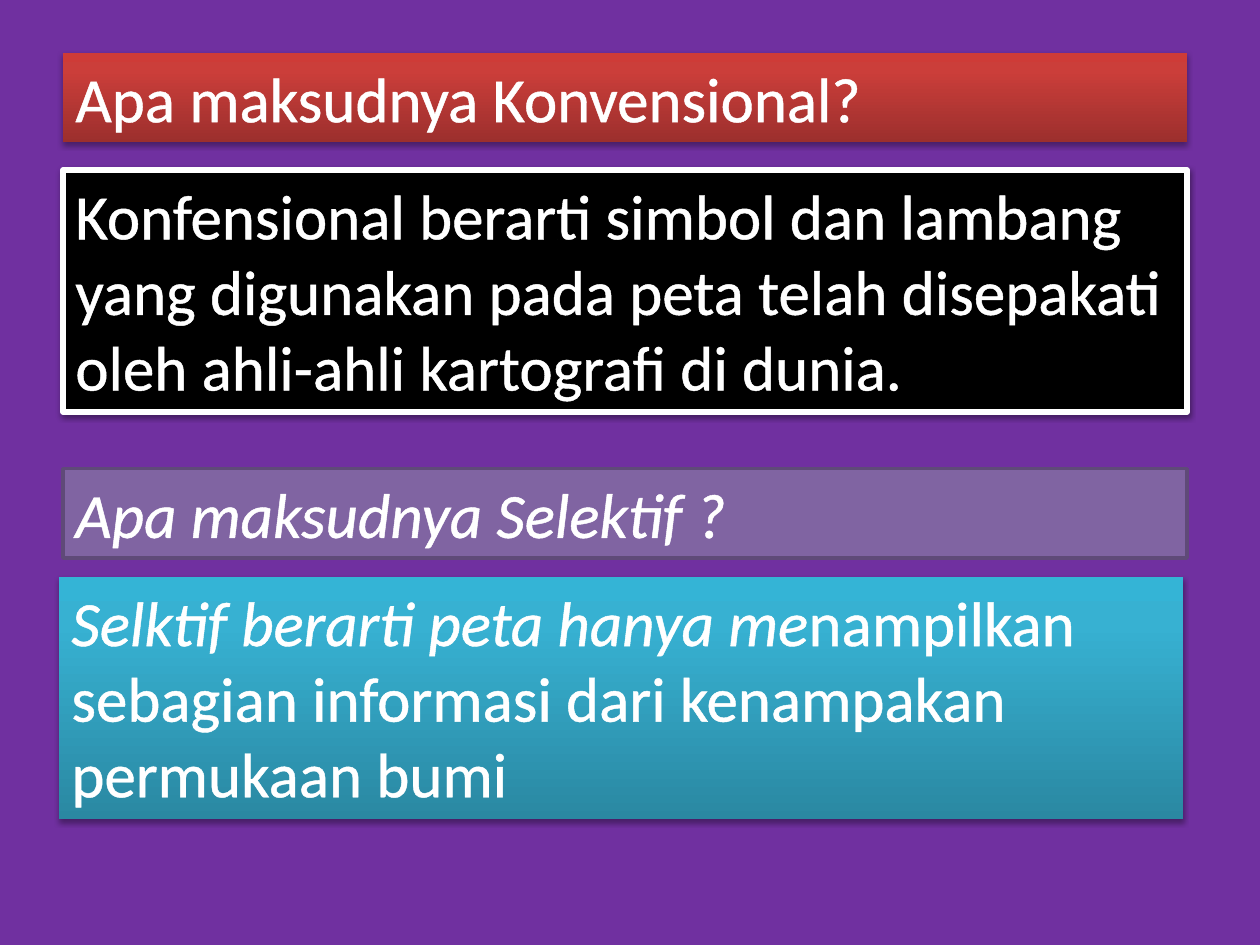
import dataclasses

import pptx
import pptx.dml.color
import pptx.enum.shapes
import pptx.enum.text
import pptx.oxml
import pptx.oxml.ns
import pptx.util
from lxml import etree

Cm = pptx.util.Cm
Pt = pptx.util.Pt
qn = pptx.oxml.ns.qn


@dataclasses.dataclass(frozen=True)
class Theme:
    font: str = "Calibri"
    size: float = 36
    outline: float = 1.45
    text: str = "FFFFFF"
    shadow: str = "000000"
    background: str = "7030A0"
    black: str = "000000"
    purple: str = "8064A2"
    purple_edge: str = "5F4A78"
    red: tuple = ((0, "9C2F2D"), (80, "CB3E3A"), (100, "CE3B37"))
    aqua: tuple = ((0, "2A88A2"), (80, "37B1D2"), (100, "34B4D6"))


def rgb(value):
    return pptx.dml.color.RGBColor.from_string(value)


def add_color(parent, value):
    return etree.SubElement(parent, qn("a:srgbClr"), val=value)


def add_run(p, text, *, font, size, color, outline, italic=False):
    r = p.add_run()
    r.text = text
    r.font.name = font
    r.font.size = Pt(size)
    r.font.italic = italic
    r.font.color.rgb = rgb(color)
    ln = etree.Element(qn("a:ln"), w=str(Pt(outline)))
    add_color(etree.SubElement(ln, qn("a:solidFill")), color)
    r.font._element.insert(0, ln)


class SlideBuilder:
    def __init__(self, slide, theme):
        self.s = slide
        self.theme = theme

    def background(self, color):
        fill = self.s.background.fill
        fill.solid()
        fill.fore_color.rgb = rgb(color)

    def gradient(self, sp, stops):
        sp.fill.gradient()
        sp.fill.gradient_angle = 90
        stop_list = sp._element.spPr.find(".//" + qn("a:gsLst"))
        for old in list(stop_list):
            stop_list.remove(old)
        for pos, color in stops:
            gs = etree.SubElement(stop_list, qn("a:gs"), pos=str(pos * 1000))
            add_color(gs, color)

    def shadow(self, sp, opacity, distance):
        effects = sp._element.spPr.find(qn("a:effectLst"))
        outer = etree.SubElement(
            effects, qn("a:outerShdw"), blurRad=str(Pt(3.1)),
            dist=str(Pt(distance)), dir="5400000", rotWithShape="0")
        color = add_color(outer, self.theme.shadow)
        etree.SubElement(color, qn("a:alpha"), val=str(opacity * 1000))

    def panel(self, left, top, height, paragraphs, fill, line=None, shadow=None):
        sp = self.s.shapes.add_shape(
            pptx.enum.shapes.MSO_SHAPE.RECTANGLE,
            Cm(left), Cm(top), Cm(22.66), Cm(height))
        sp.shadow.inherit = False
        if isinstance(fill, tuple):
            self.gradient(sp, fill)
        else:
            sp.fill.solid()
            sp.fill.fore_color.rgb = rgb(fill)
        if line:
            color, width = line
            sp.line.color.rgb = rgb(color)
            sp.line.width = Pt(width)
        else:
            sp.line.fill.background()
        if shadow:
            self.shadow(sp, *shadow)
        self.text(sp.text_frame, paragraphs)

    def text(self, tf, paragraphs):
        t = self.theme
        tf.word_wrap = True
        tf.auto_size = pptx.enum.text.MSO_AUTO_SIZE.SHAPE_TO_FIT_TEXT
        tf.vertical_anchor = pptx.enum.text.MSO_ANCHOR.TOP
        for i, runs in enumerate(paragraphs):
            p = tf.add_paragraph() if i else tf.paragraphs[0]
            p.alignment = pptx.enum.text.PP_ALIGN.LEFT
            for text, italic in runs:
                add_run(p, text, font=t.font, size=t.size, color=t.text,
                        outline=t.outline, italic=italic)


def main():
    theme = Theme()
    prs = pptx.Presentation()
    prs.slide_width, prs.slide_height = Cm(25.4), Cm(19.05)
    b = SlideBuilder(prs.slides.add_slide(prs.slide_layouts[6]), theme)
    b.background(theme.background)

    heading, body = 1.8, 4.88
    b.panel(1.27, 1.07, heading, [[("Apa maksudnya Konvensional?", False)]],
            theme.red, shadow=(35, 1.8))
    b.panel(1.27, 3.43, body,
            [[("Konfensional berarti simbol dan lambang yang digunakan pada peta "
               "telah disepakati oleh ahli-ahli kartografi di dunia.", False)]],
            theme.black, line=(theme.text, 3), shadow=(38, 1.6))
    b.panel(1.27, 9.45, heading, [[("Apa maksudnya Selektif ?", True)]],
            theme.purple, line=(theme.purple_edge, 2))
    b.panel(1.19, 11.63, body,
            [[("Selktif berarti peta hanya me", True),
              ("nampilkan sebagian informasi dari kenampakan", False)],
             [("permukaan bumi", False)]],
            theme.aqua, shadow=(35, 1.8))
    prs.save("out.pptx")


if __name__ == "__main__":
    main()
